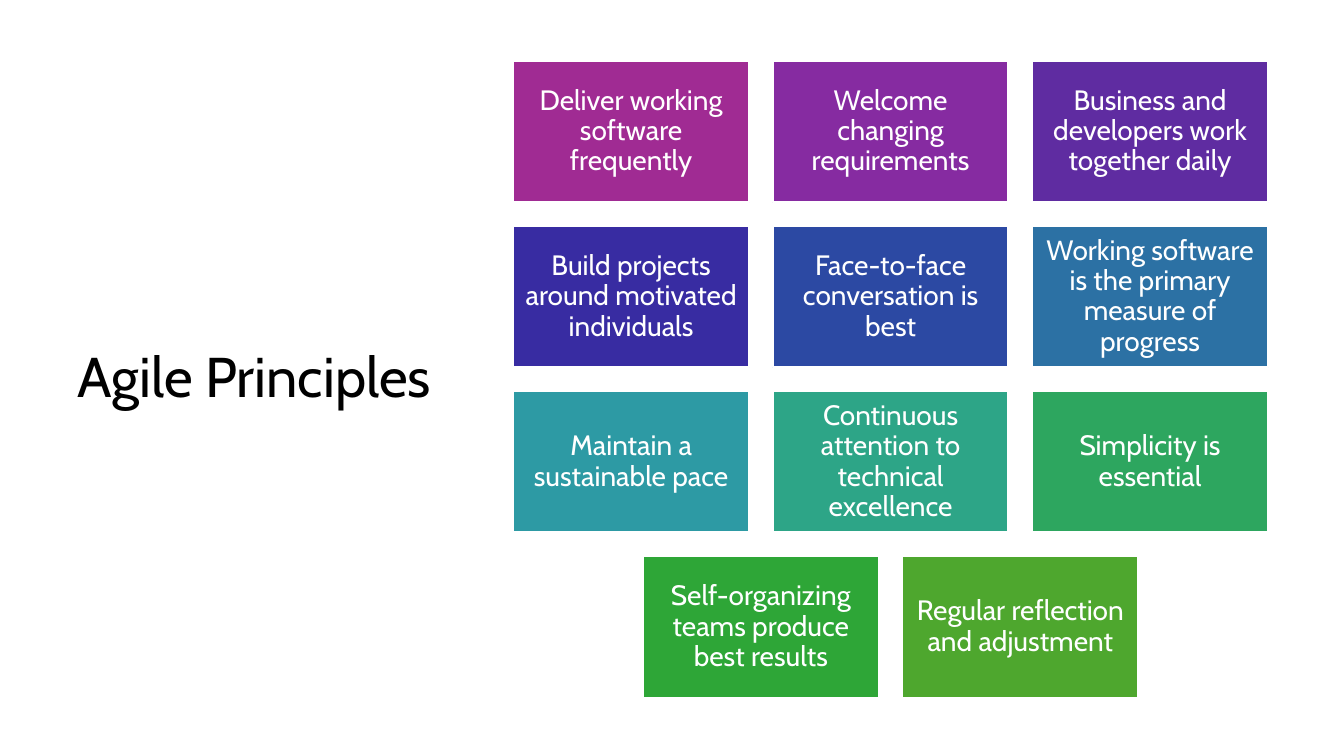
from pptx import Presentation
from pptx.dml.color import RGBColor
from pptx.enum.shapes import MSO_SHAPE
from pptx.enum.text import MSO_ANCHOR, MSO_AUTO_SIZE, PP_ALIGN
from pptx.util import Pt

RECT = MSO_SHAPE.RECTANGLE
MIDDLE = MSO_ANCHOR.MIDDLE
LEFT, CENTER = PP_ALIGN.LEFT, PP_ALIGN.CENTER
NO_FIT = MSO_AUTO_SIZE.NONE

FONT = "Cabin"
BLACK = RGBColor(0x00, 0x00, 0x00)
WHITE = RGBColor(0xFF, 0xFF, 0xFF)
PLUM = RGBColor(0xA0, 0x2B, 0x93)
PURPLE = RGBColor(0x86, 0x2B, 0xA1)
VIOLET = RGBColor(0x5F, 0x2C, 0xA1)
INDIGO = RGBColor(0x38, 0x2C, 0xA2)
BLUE = RGBColor(0x2C, 0x49, 0xA3)
AZURE = RGBColor(0x2C, 0x71, 0xA4)
TEAL = RGBColor(0x2D, 0x9A, 0xA4)
JADE = RGBColor(0x2D, 0xA5, 0x87)
MINT = RGBColor(0x2D, 0xA6, 0x5F)
GREEN = RGBColor(0x2E, 0xA6, 0x37)
LEAF = RGBColor(0x4E, 0xA7, 0x2E)

COLS = 3
GRID_X, GRID_Y = 366.6, 43.4
TILE_W, TILE_H = 168.5, 101.1
GAP = 16.85

RULES = [
    ("Deliver working software frequently", PLUM),
    ("Welcome changing requirements", PURPLE),
    ("Business and developers work together daily", VIOLET),
    ("Build projects around motivated individuals", INDIGO),
    ("Face-to-face conversation is best", BLUE),
    ("Working software is the primary measure of progress", AZURE),
    ("Maintain a sustainable pace", TEAL),
    ("Continuous attention to technical excellence", JADE),
    ("Simplicity is essential", MINT),
    ("Self-organizing teams produce best results", GREEN),
    ("Regular reflection and adjustment", LEAF),
]


def write(shape, text, size=20, color=WHITE, align=CENTER, inset=6):
    frame = shape.text_frame
    frame.text = text
    frame.word_wrap = True
    frame.auto_size = NO_FIT
    frame.vertical_anchor = MIDDLE
    frame.margin_left = frame.margin_right = Pt(inset)
    frame.margin_top = frame.margin_bottom = Pt(inset)
    para = frame.paragraphs[0]
    para.alignment = align
    para.line_spacing = 0.9
    para.space_before = Pt(0)
    font = para.runs[0].font
    font.name = FONT
    font.size = Pt(size)
    font.color.rgb = color


def add_title(slide, text):
    title = slide.shapes.title
    title.left, title.top = Pt(48.2), Pt(43.2)
    title.width, title.height = Pt(275), Pt(455.8)
    write(title, text, size=40, color=BLACK, align=LEFT, inset=7.2)


def add_tile(slide, left, top, text, color):
    tile = slide.shapes.add_shape(RECT, Pt(left), Pt(top), Pt(TILE_W), Pt(TILE_H))
    tile.shadow.inherit = False
    tile.fill.solid()
    tile.fill.fore_color.rgb = color
    tile.line.color.rgb = WHITE
    tile.line.width = Pt(1.5)
    write(tile, text)


def add_grid(slide, rules):
    for start in range(0, len(rules), COLS):
        row = rules[start:start + COLS]
        indent = (COLS - len(row)) * (TILE_W + GAP) / 2
        top = GRID_Y + start // COLS * (TILE_H + GAP)
        for col, (text, color) in enumerate(row):
            left = GRID_X + indent + col * (TILE_W + GAP)
            add_tile(slide, left, top, text, color)


def main():
    deck = Presentation()
    deck.slide_width, deck.slide_height = Pt(960), Pt(540)
    slide = deck.slides.add_slide(deck.slide_layouts[5])
    add_title(slide, "Agile Principles")
    add_grid(slide, RULES)
    deck.save("out.pptx")


if __name__ == "__main__":
    main()
